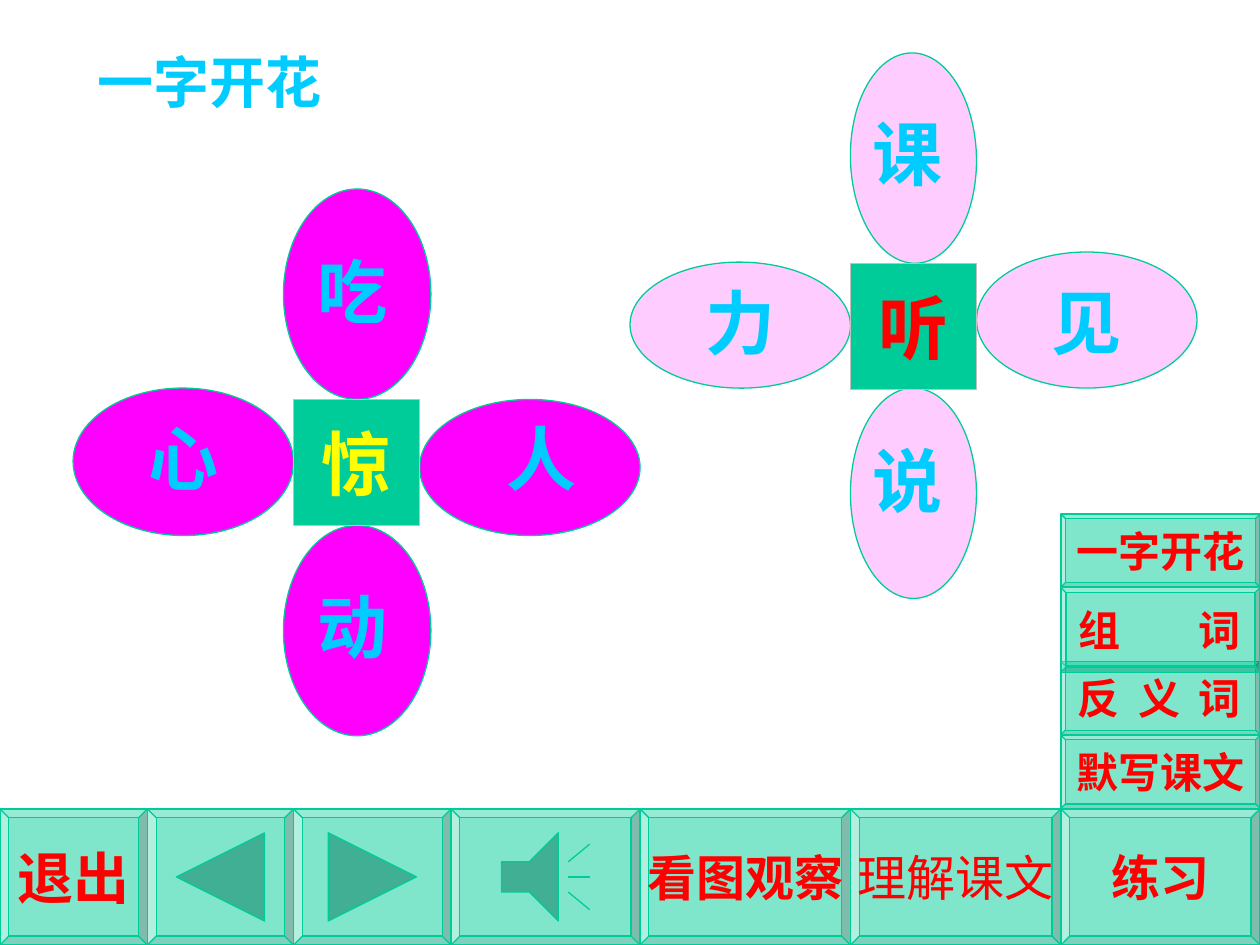
from dataclasses import dataclass
from itertools import pairwise

from lxml.etree import SubElement
from pptx import Presentation
from pptx.dml.color import RGBColor
from pptx.enum.shapes import MSO_CONNECTOR, MSO_SHAPE
from pptx.enum.text import MSO_ANCHOR, MSO_AUTO_SIZE, PP_ALIGN
from pptx.oxml.ns import qn
from pptx.util import Inches, Pt


@dataclass(frozen=True)
class Theme:
    """Colours, font and type sizes of the slide."""
    font: str = "Times New Roman"
    green: str = "00CC99"
    icon: str = "40AF93"
    silver: str = "C0C0C0"
    red: str = "FF0000"
    yellow: str = "FFFF00"
    sky: str = "00CCFF"
    magenta: str = "FF00FF"
    pink: str = "FFCCFF"
    title: int = 32
    flower: int = 40
    exit: int = 32
    button: int = 28
    menu: int = 24
    line: float = 0.75


THEME = Theme()


def add_run(paragraph, text, size, color, bold=True):
    """Add one formatted run to a paragraph."""
    run = paragraph.add_run()
    run.text = text
    run.font.name = THEME.font
    run.font.size = Pt(size)
    run.font.bold = bold
    run.font.color.rgb = RGBColor.from_string(color)


def style_shape(shape, fill, line=THEME.green):
    """Give a shape a flat fill and a thin outline."""
    shape.shadow.inherit = False
    shape.fill.solid()
    shape.fill.fore_color.rgb = RGBColor.from_string(fill)
    shape.line.color.rgb = RGBColor.from_string(line)
    shape.line.width = Pt(THEME.line)


def add_preset(slide, kind, box, fill, line=THEME.green, rotation=0):
    """Place a styled preset shape in a box."""
    shape = slide.shapes.add_shape(kind, *map(Inches, box))
    style_shape(shape, fill, line)
    shape.rotation = rotation
    return shape


def center_text(shape, text, size, color, bold=True):
    """Write one unwrapped, centred line in a shape."""
    frame = shape.text_frame
    frame.word_wrap = False
    frame.vertical_anchor = MSO_ANCHOR.MIDDLE
    paragraph = frame.paragraphs[0]
    paragraph.alignment = PP_ALIGN.CENTER
    add_run(paragraph, text, size, color, bold)


def tabbed_text(shape, text, size, color, stops):
    """Write one line whose characters are spread over tab stops."""
    frame = shape.text_frame
    frame.word_wrap = True
    frame.vertical_anchor = MSO_ANCHOR.MIDDLE
    frame.margin_right = 0
    paragraph = frame.paragraphs[0]
    paragraph.alignment = PP_ALIGN.LEFT
    tabs = SubElement(paragraph._p.get_or_add_pPr(), qn("a:tabLst"))
    for stop in stops:
        SubElement(tabs, qn("a:tab"), pos=str(Inches(stop)), algn="l")
    add_run(paragraph, text, size, color)


def add_button(slide, box, bevel):
    """Place a half-transparent bevelled button."""
    shape = add_preset(slide, MSO_SHAPE.BEVEL, box, THEME.green)
    shape.adjustments[0] = bevel
    color = shape.fill._xPr.find(qn("a:solidFill"))[0]
    SubElement(color, qn("a:alpha"), val="50000")
    return shape


def add_arrow_icon(slide, box, rotation):
    """Centre a triangle pointing sideways in a button box."""
    left, top, width, height = box
    side = 0.7
    icon = (left + (width - side) / 2, top + (height - side) / 2, side, side)
    add_preset(slide, MSO_SHAPE.ISOSCELES_TRIANGLE, icon, THEME.icon,
               rotation=rotation)


def add_speaker_icon(slide, box):
    """Centre a loudspeaker with three sound lines in a button box."""
    left, top, width, height = box
    x, y = left + width / 2, top + height / 2
    outline = [(-0.35, -0.12), (-0.13, -0.12), (0.1, -0.35),
               (0.1, 0.35), (-0.13, 0.12), (-0.35, 0.12)]
    points = [(Inches(x + dx), Inches(y + dy)) for dx, dy in outline]
    builder = slide.shapes.build_freeform(*points[0])
    builder.add_line_segments(points[1:], close=True)
    style_shape(builder.convert_to_shape(), THEME.icon)
    for start, end in [(-0.12, -0.26), (0, 0), (0.12, 0.26)]:
        wave = slide.shapes.add_connector(
            MSO_CONNECTOR.STRAIGHT, Inches(x + 0.18), Inches(y + start),
            Inches(x + 0.35), Inches(y + end))
        wave.line.color.rgb = RGBColor.from_string(THEME.green)
        wave.line.width = Pt(THEME.line)
        SubElement(wave._element.spPr, qn("a:effectLst"))


def add_navigation_bar(slide, box):
    """Place the row of buttons along the bottom."""
    left, top, width, height = box
    edges = [0, 1.17, 2.33, 3.58, 5.08, 6.75, 8.42, width]
    boxes = [(left + start, top, end - start, height)
             for start, end in pairwise(edges)]
    buttons = [add_button(slide, button_box, 0.065) for button_box in boxes]
    add_arrow_icon(slide, boxes[1], 270)
    add_arrow_icon(slide, boxes[2], 90)
    add_speaker_icon(slide, boxes[3])
    labels = [(0, "退出", THEME.exit, True),
              (4, "看图观察", THEME.button, True),
              (5, "理解课文", THEME.button, False),
              (6, "练习", THEME.button, True)]
    for index, text, size, bold in labels:
        center_text(buttons[index], text, size, THEME.red, bold)


def add_exercise_menu(slide, box):
    """Stack the exercise buttons from the bottom up."""
    left, top, width, height = box
    step = height / 4
    items = [("默写课文", 3, 0.58, []), ("反\t义\t词", 2, 0.58, [0.48, 0.96]),
             ("组\t词", 1, 0.67, [0.95]), ("一字开花", 0, 0.58, [])]
    for text, row, tall, stops in items:
        button = add_button(slide, (left, top + row * step, width, tall), 0.06)
        if stops:
            tabbed_text(button, text, THEME.menu, THEME.red, stops)
        else:
            center_text(button, text, THEME.menu, THEME.red)


def add_flower(slide, box, center, center_color, petal_color, petals):
    """Place petals with characters around a square centre."""
    left, top, width, height = box
    for (x, y, wide, tall), rotation, _, _ in petals:
        add_preset(slide, MSO_SHAPE.OVAL, (left + x, top + y, wide, tall),
                   petal_color, rotation=rotation)
    for _, _, character, (x, y) in petals:
        label = slide.shapes.add_textbox(
            Inches(left + x), Inches(top + y), Inches(1.2), Inches(0.77))
        label.text_frame.word_wrap = True
        add_run(label.text_frame.paragraphs[0], character, THEME.flower,
                THEME.sky)
    square = add_preset(slide, MSO_SHAPE.RECTANGLE,
                        (left + 1.75, top + 1.67, 1, 1),
                        THEME.green, THEME.silver)
    center_text(square, center, THEME.flower, center_color)


def add_title(slide, box):
    """Place the slide heading in the title placeholder."""
    title = slide.shapes.title
    title.left, title.top, title.width, title.height = map(Inches, box)
    frame = title.text_frame
    frame.auto_size = MSO_AUTO_SIZE.NONE
    frame.vertical_anchor = MSO_ANCHOR.TOP
    paragraph = frame.paragraphs[0]
    paragraph.alignment = PP_ALIGN.LEFT
    add_run(paragraph, "一字开花", THEME.title, THEME.sky)


def main():
    """Build and save the slide."""
    presentation = Presentation()
    presentation.slide_width, presentation.slide_height = Inches(10), Inches(7.5)
    slide = presentation.slides.add_slide(presentation.slide_layouts[5])
    add_title(slide, (0.67, 0.33, 2.75, 0.64))
    add_navigation_bar(slide, (0, 6.42, 10, 1.08))
    add_exercise_menu(slide, (8.42, 4.08, 1.58, 2.34))
    add_flower(slide, (0.58, 1.5, 4.5, 4.34), "惊", THEME.yellow, THEME.magenta, [
        ((0, 1.58, 1.75, 1.17), 180.4, "心", (0.5, 1.75)),
        ((1.67, 2.67, 1.17, 1.67), 0, "动", (1.84, 3.08)),
        ((2.75, 1.67, 1.75, 1.08), 0, "人", (3.34, 1.75)),
        ((1.67, 0, 1.17, 1.67), 0, "吃", (1.84, 0.42))])
    add_flower(slide, (5, 0.42, 4.5, 4.33), "听", THEME.red, THEME.pink, [
        ((2.75, 1.58, 1.75, 1.08), 0, "见", (3.25, 1.75)),
        ((0, 1.66, 1.75, 1), 180.4, "力", (0.5, 1.75)),
        ((1.75, 2.66, 1, 1.67), 0, "说", (1.83, 3)),
        ((1.75, 0, 1, 1.67), 358.7, "课", (1.83, 0.41))])
    presentation.save("out.pptx")


if __name__ == "__main__":
    main()
